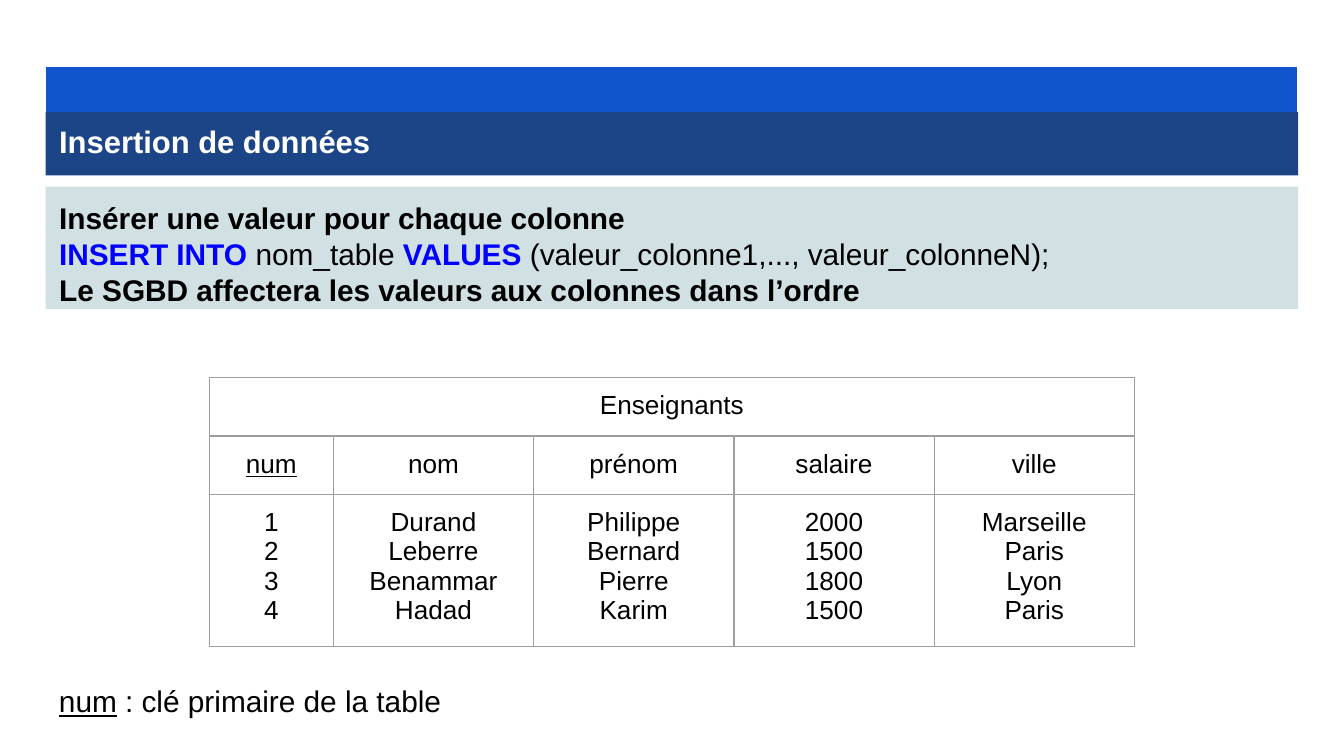
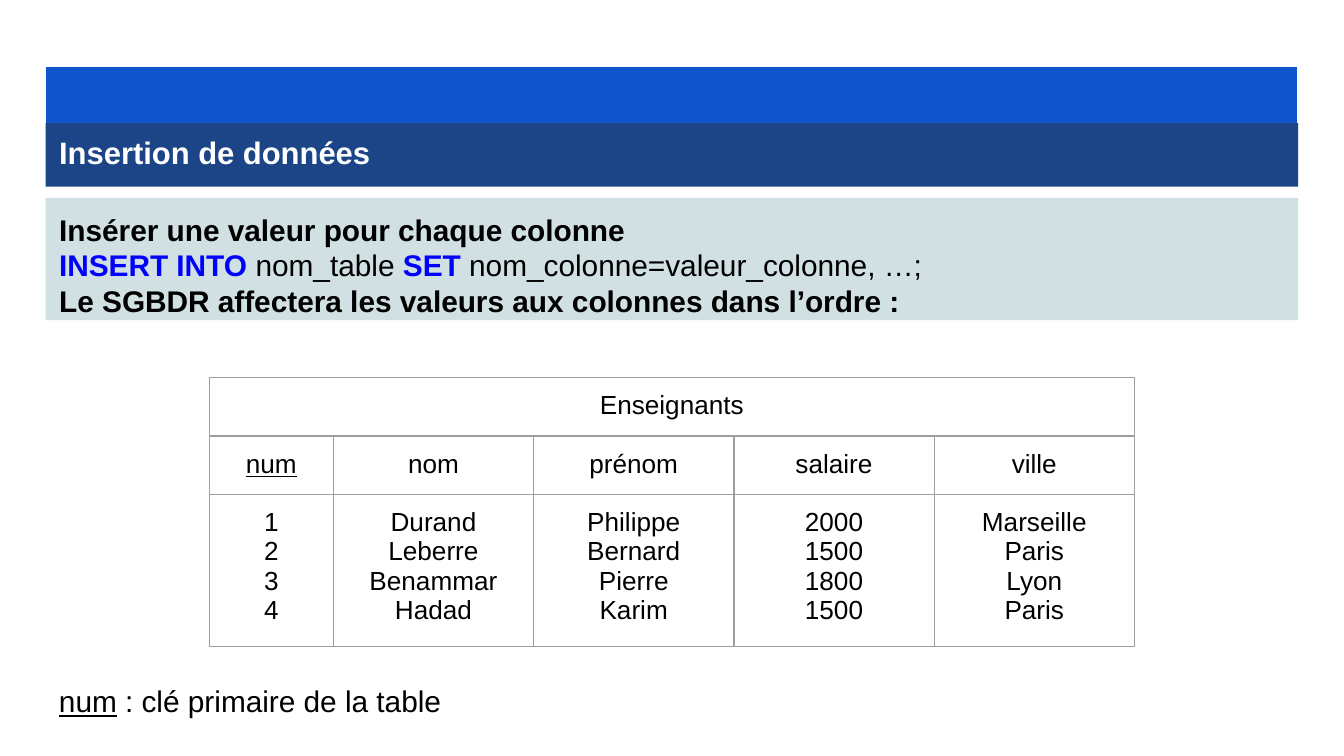
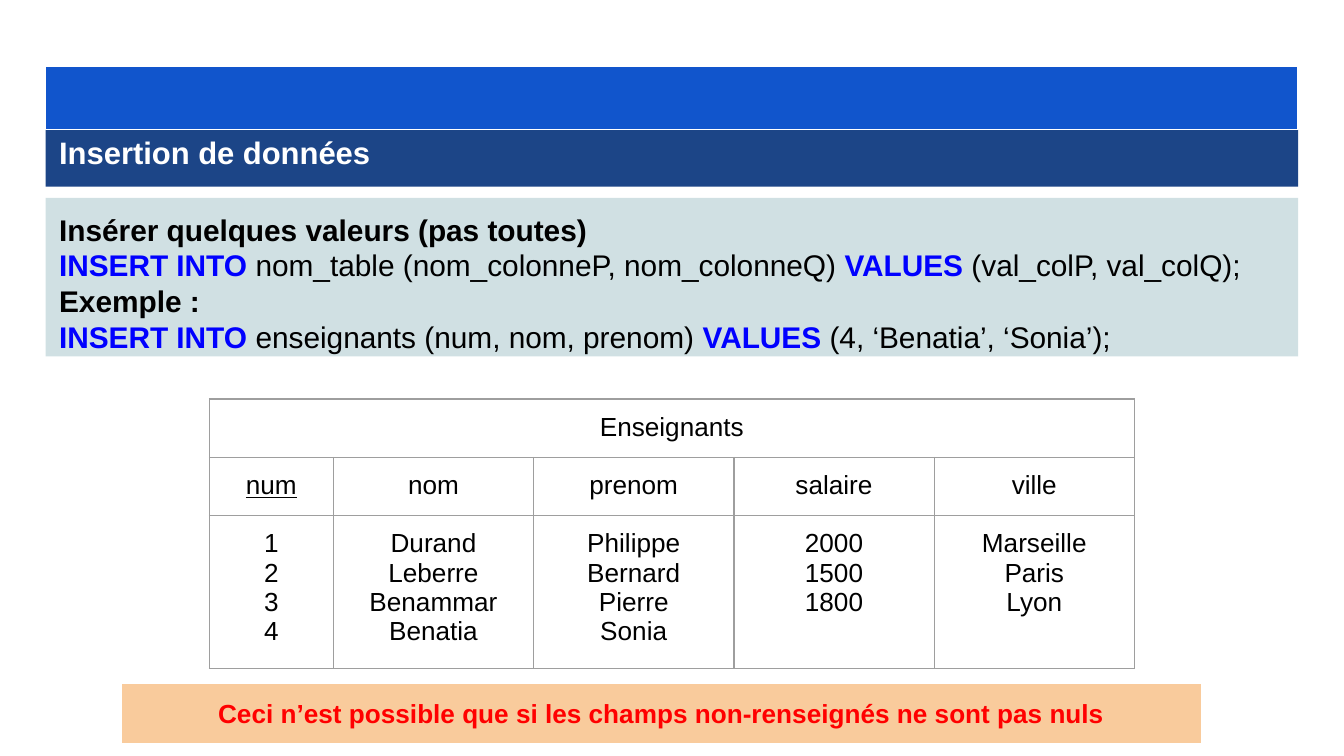
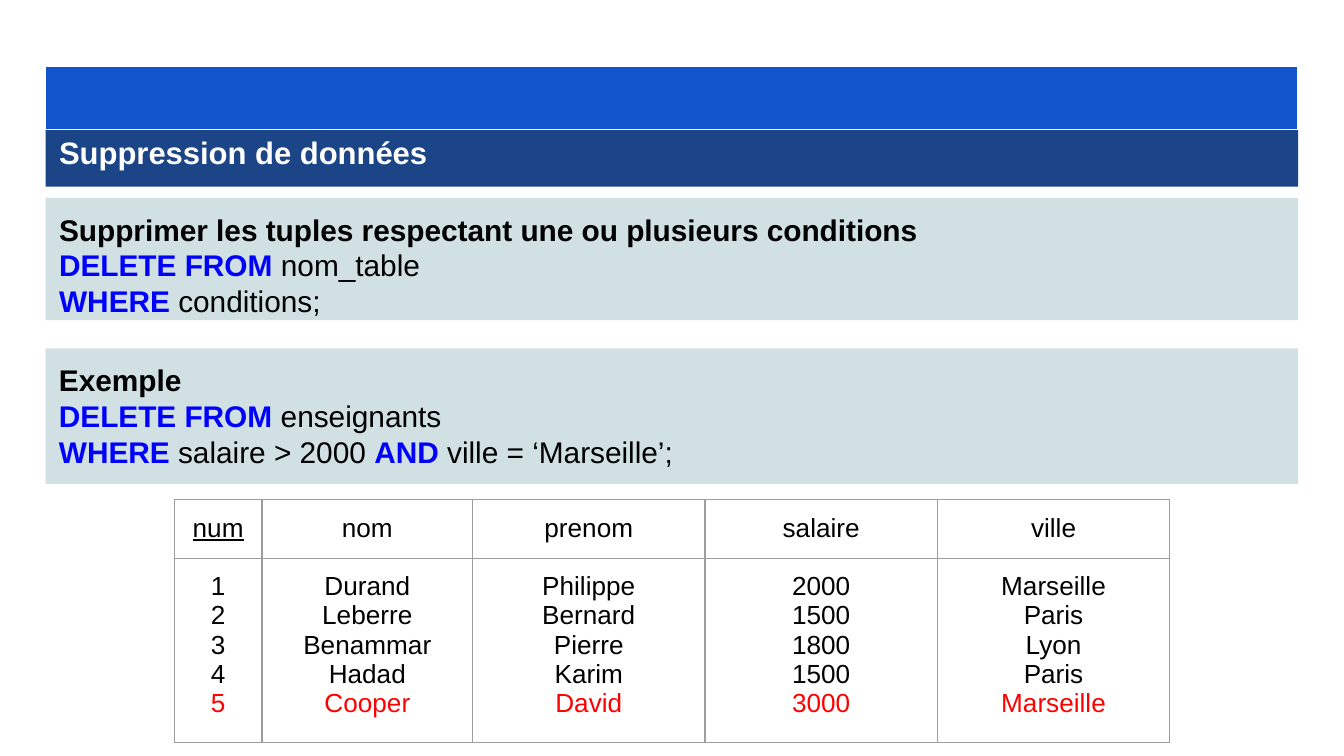
import pptx
import pptx.util
import pptx.dml.color
import pptx.enum.shapes
import pptx.enum.text
import pptx.oxml
import pptx.oxml.ns
from lxml import etree

Pt = pptx.util.Pt
ALIGN = pptx.enum.text.PP_ALIGN
AUTO_SIZE = pptx.enum.text.MSO_AUTO_SIZE

COLORS = {
    "band": "1155CC",
    "title": "1C4587",
    "panel": "D0E0E3",
    "warning": "F9CB9C",
    "border": "9E9E9E",
    "white": "FFFFFF",
    "black": "000000",
    "keyword": "0000FF",
    "alert": "FF0000",
}
STYLES = {
    "plain": {},
    "bold": {"bold": True},
    "keyword": {"bold": True, "color": "keyword"},
    "underline": {"underline": True},
    "alert": {"color": "alert"},
}
FONT = "Arial"
LEFT, WIDTH = 24.5, 671
INSET = 7.2
BAND_TOP = 35.4
TITLE_HEIGHT, TITLE_GAP = 34, 6
PANEL_LINE = 19.4

HEADERS = ["num", "nom", "prénom", "salaire", "ville"]
PLAIN_HEADERS = ["num", "nom", "prenom", "salaire", "ville"]
FIRST_TEACHERS = [
    ("1", "Durand", "Philippe", "2000", "Marseille"),
    ("2", "Leberre", "Bernard", "1500", "Paris"),
    ("3", "Benammar", "Pierre", "1800", "Lyon"),
]
HADAD = ("4", "Hadad", "Karim", "1500", "Paris")
BENATIA = ("4", "Benatia", "Sonia")
COOPER = ("5", "Cooper", "David", "3000", "Marseille")

WIDE_TABLE = {
    "caption": "Enseignants", "headers": HEADERS, "rows": FIRST_TEACHERS + [HADAD],
    "left": 112.2, "top": 202.4, "columns": [66.4] + [107.3] * 4, "heights": [31.2, 31.2, 81.4],
}
PARTIAL_TABLE = {**WIDE_TABLE, "headers": PLAIN_HEADERS, "rows": FIRST_TEACHERS + [BENATIA], "top": 213.8}
DELETE_TABLE = {
    "headers": PLAIN_HEADERS, "rows": FIRST_TEACHERS + [HADAD, COOPER], "deleted": COOPER,
    "left": 93.4, "top": 267.8, "columns": [47, 112.8] + [124.5] * 3, "heights": [31.2, 98.6],
}
KEY_NOTE = [[("num", "underline"), (" : clé primaire de la table", "plain")]]
WARNING = "Ceci n’est possible que si les champs non-renseignés ne sont pas nuls"

SLIDES = [
    {
        "title": "Insertion de données", "title_top": 60, "band_height": 28, "table": WIDE_TABLE,
        "note": KEY_NOTE,
        "panels": [[
            [("Insérer une valeur pour chaque colonne", "bold")],
            [("INSERT INTO ", "keyword"), ("nom_table ", "plain"), ("VALUES ", "keyword"),
             ("(valeur_colonne1,..., valeur_colonneN);", "plain")],
            [("Le SGBD affectera les valeurs aux colonnes dans l’ordre", "bold")],
        ]],
    },
    {
        "title": "Insertion de données", "table": WIDE_TABLE, "note": KEY_NOTE,
        "panels": [[
            [("Insérer une valeur pour chaque colonne", "bold")],
            [("INSERT INTO ", "keyword"), ("nom_table ", "plain"), ("SET ", "keyword"),
             ("nom_colonne=valeur_colonne, …;", "plain")],
            [("Le SGBDR affectera les valeurs aux colonnes dans l’ordre :", "bold")],
        ]],
    },
    {
        "title": "Insertion de données", "band_in_front": True, "table": PARTIAL_TABLE,
        "warning": WARNING,
        "panels": [[
            [("Insérer quelques valeurs (pas toutes)", "bold")],
            [("INSERT INTO ", "keyword"), ("nom_table (nom_colonneP, nom_colonneQ) ", "plain"),
             ("VALUES ", "keyword"), ("(val_colP, val_colQ);", "plain")],
            [("Exemple :", "bold")],
            [("INSERT INTO ", "keyword"), ("enseignants (num, nom, prenom) ", "plain"),
             ("VALUES ", "keyword"), ("(4, ‘Benatia’, ‘Sonia’);", "plain")],
        ]],
    },
    {
        "title": "Suppression de données", "band_in_front": True, "table": DELETE_TABLE,
        "panels": [
            [
                [("Supprimer les tuples respectant une ou plusieurs conditions", "bold")],
                [("DELETE FROM ", "keyword"), ("nom_table", "plain")],
                [("WHERE ", "keyword"), ("conditions;", "plain")],
            ],
            [
                [("Exemple", "bold")],
                [("DELETE FROM ", "keyword"), ("enseignants", "plain")],
                [("WHERE ", "keyword"), ("salaire > 2000 ", "plain"), ("AND", "keyword"),
                 (" ville = ‘Marseille’;", "plain")],
            ],
        ],
    },
]


def rgb(name):
    return pptx.dml.color.RGBColor.from_string(COLORS[name])


def write_text(frame, lines, size=16, color="black", bold=False, align=ALIGN.LEFT,
               line_spacing=1.0, space_after=0, auto_size=None):
    frame.word_wrap = True
    if auto_size is not None:
        frame.auto_size = auto_size
        frame.vertical_anchor = pptx.enum.text.MSO_ANCHOR.TOP
        frame.margin_left = frame.margin_right = Pt(INSET)
        frame.margin_top = frame.margin_bottom = Pt(INSET)
    for index, line in enumerate(lines):
        paragraph = frame.add_paragraph() if index else frame.paragraphs[0]
        paragraph.alignment = align
        paragraph.line_spacing = line_spacing
        paragraph.space_before = Pt(0)
        paragraph.space_after = Pt(space_after)
        for text, style_name in line:
            style = {"color": color, "bold": bold, "underline": False, **STYLES[style_name]}
            run = paragraph.add_run()
            run.text = text
            run.font.name = FONT
            run.font.size = Pt(size)
            run.font.bold = style["bold"]
            run.font.underline = style["underline"]
            run.font.color.rgb = rgb(style["color"])


def place(shape, left, top, width, height):
    shape.left, shape.top, shape.width, shape.height = map(Pt, (left, top, width, height))


def fill_shape(shape, color):
    shape.fill.solid()
    shape.fill.fore_color.rgb = rgb(color)
    shape.line.fill.background()


def add_rectangle(slide, left, top, width, height, color):
    shape = slide.shapes.add_shape(pptx.enum.shapes.MSO_SHAPE.RECTANGLE,
                                   Pt(left), Pt(top), Pt(width), Pt(height))
    shape.shadow.inherit = False
    fill_shape(shape, color)
    return shape


def add_title_and_band(slide, content, title_top):
    title = slide.shapes.title
    place(title, LEFT, title_top, WIDTH, TITLE_HEIGHT)
    fill_shape(title, "title")
    write_text(title.text_frame, [[(content["title"], "plain")]], size=16.6, color="white",
               bold=True, line_spacing=0.95, space_after=12, auto_size=AUTO_SIZE.NONE)
    band = add_rectangle(slide, LEFT, BAND_TOP, WIDTH, content.get("band_height", 34), "band")
    band.line.color.rgb = rgb("white")
    band.line.width = Pt(0.75)
    if not content.get("band_in_front"):
        title.element.addprevious(band.element)


def add_panels(slide, panels, top):
    for index, lines in enumerate(panels):
        height = len(lines) * PANEL_LINE + 2 * INSET
        if index == 0:
            panel = slide.placeholders[1]
            place(panel, LEFT, top, WIDTH, height)
            fill_shape(panel, "panel")
        else:
            panel = add_rectangle(slide, LEFT, top, WIDTH, height, "panel")
        write_text(panel.text_frame, lines, auto_size=AUTO_SIZE.SHAPE_TO_FIT_TEXT)
        if index == 0:
            remove_bullets(panel.text_frame)
        top += height + 8


def remove_bullets(frame):
    for paragraph in frame.paragraphs:
        properties = paragraph.alignment is not None and paragraph._p.get_or_add_pPr()
        properties.set("marL", "0")
        properties.set("indent", "0")
        etree.SubElement(properties, pptx.oxml.ns.qn("a:buNone"))


def set_borders(cell):
    properties = cell._tc.get_or_add_tcPr()
    for side in ("lnL", "lnR", "lnT", "lnB"):
        properties.append(pptx.oxml.parse_xml(
            f'<a:{side} {pptx.oxml.ns.nsdecls("a")} w="{Pt(0.75)}"><a:solidFill>'
            f'<a:srgbClr val="{COLORS["border"]}"/></a:solidFill></a:{side}>'))


def table_lines(content):
    grid = []
    if "caption" in content:
        grid.append([[[(content["caption"], "plain")]]])
    grid.append([[[(header, "plain" if index else "underline")]]
                 for index, header in enumerate(content["headers"])])
    deleted = content.get("deleted")
    grid.append([[[(row[index], "alert" if row == deleted else "plain")]
                  for row in content["rows"] if index < len(row)]
                 for index in range(len(content["headers"]))])
    return grid


def add_teachers_table(slide, content):
    columns, heights = content["columns"], content["heights"]
    frame = slide.shapes.add_table(len(heights), len(columns), Pt(content["left"]),
                                   Pt(content["top"]), Pt(sum(columns)), Pt(sum(heights)))
    table = frame.table
    table.first_row = table.horz_banding = False
    for column, width in zip(table.columns, columns):
        column.width = Pt(width)
    for row, height in zip(table.rows, heights):
        row.height = Pt(height)
    for cell in table.iter_cells():
        cell.margin_left = cell.margin_right = Pt(INSET)
        cell.margin_top = cell.margin_bottom = Pt(INSET)
        set_borders(cell)
        cell.fill.background()
    if "caption" in content:
        table.cell(0, 0).merge(table.cell(0, len(columns) - 1))
    for row_index, row in enumerate(table_lines(content)):
        for column_index, lines in enumerate(row):
            write_text(table.cell(row_index, column_index).text_frame, lines,
                       size=14, align=ALIGN.CENTER)


def build_slide(presentation, content):
    slide = presentation.slides.add_slide(presentation.slide_layouts[1])
    title_top = content.get("title_top", 66)
    add_title_and_band(slide, content, title_top)
    add_panels(slide, content["panels"], title_top + TITLE_HEIGHT + TITLE_GAP)
    add_teachers_table(slide, content["table"])
    if "note" in content:
        note = slide.shapes.add_textbox(Pt(LEFT), Pt(358.6), Pt(578), Pt(33.8))
        write_text(note.text_frame, content["note"], auto_size=AUTO_SIZE.SHAPE_TO_FIT_TEXT)
    if "warning" in content:
        warning = add_rectangle(slide, 65.4, 366.5, 578, 31.5, "warning")
        write_text(warning.text_frame, [[(content["warning"], "plain")]], size=14, color="alert",
                   bold=True, align=ALIGN.CENTER, auto_size=AUTO_SIZE.SHAPE_TO_FIT_TEXT)


def main():
    presentation = pptx.Presentation()
    presentation.slide_width = Pt(720)
    presentation.slide_height = Pt(405)
    for content in SLIDES:
        build_slide(presentation, content)
    presentation.save("out.pptx")


if __name__ == "__main__":
    main()
